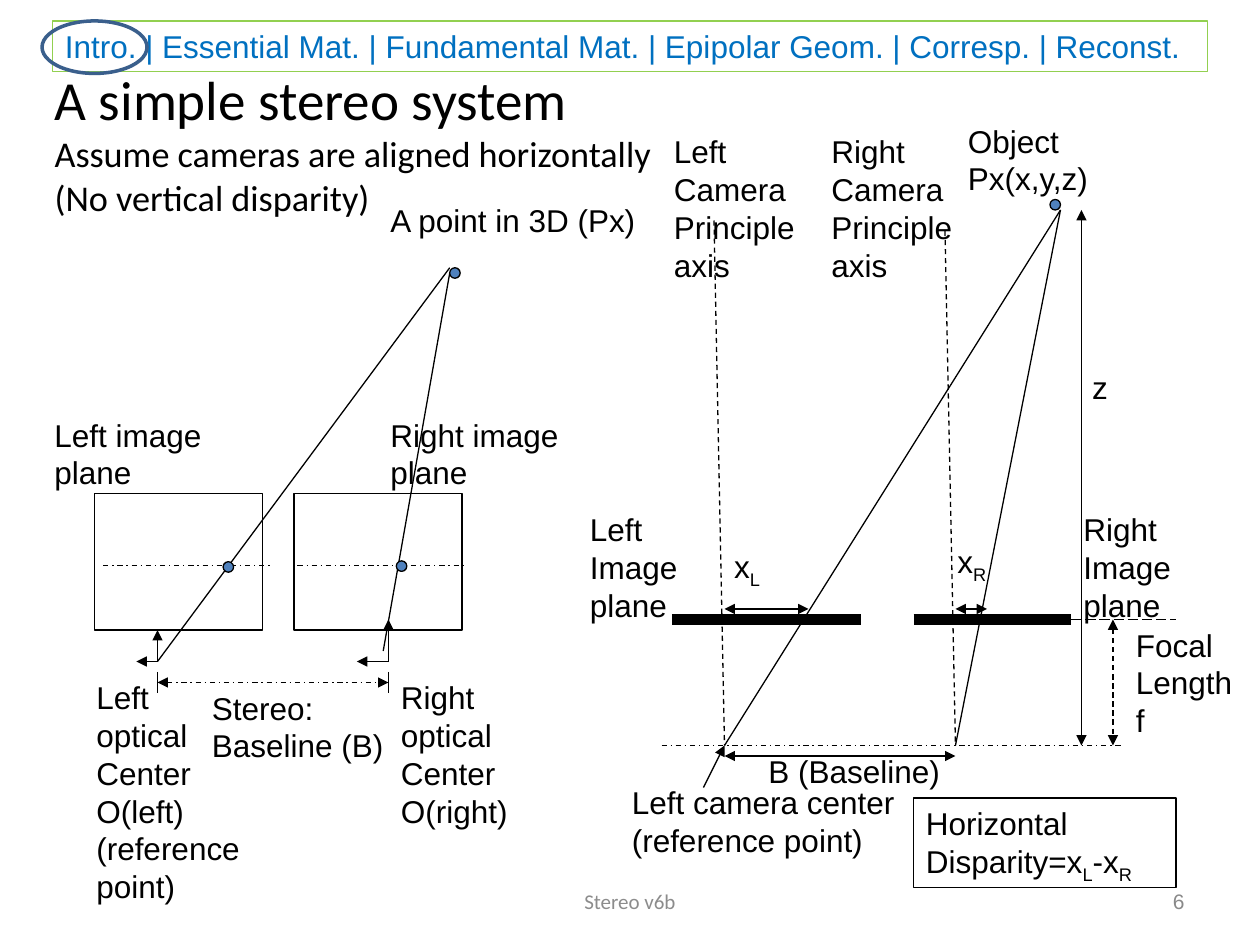
"""Build the slide on a simple stereo camera system."""

from copy import deepcopy
from dataclasses import dataclass
from typing import Optional

from lxml.etree import SubElement
from pptx import Presentation
from pptx.dml.color import RGBColor
from pptx.enum.dml import MSO_LINE
from pptx.enum.shapes import MSO_CONNECTOR, MSO_SHAPE
from pptx.enum.text import MSO_ANCHOR, MSO_AUTO_SIZE, PP_ALIGN
from pptx.oxml.ns import qn
from pptx.shapes.autoshape import Shape
from pptx.slide import Slide
from pptx.util import Pt

BLACK = RGBColor(0x00, 0x00, 0x00)
GREEN = RGBColor(0x92, 0xD0, 0x50)
BLUE = RGBColor(0x00, 0x70, 0xC0)
DOT_BLUE = RGBColor(0x4F, 0x81, 0xBD)
RING_BLUE = RGBColor(0x3A, 0x5F, 0x8C)
FOOTER_GRAY = RGBColor(0x8C, 0x8C, 0x8C)
NUMBER_GRAY = RGBColor(0x89, 0x89, 0x89)
DOT_SIZE = 6
LINE_HEIGHT = 21.6
FRAME_MARGIN = 7.2


@dataclass(frozen=True)
class Label:
    text: str
    left: float
    top: float
    width: float


@dataclass(frozen=True)
class Line:
    start: tuple[float, float]
    end: tuple[float, float]
    dash: Optional[MSO_LINE] = None
    arrows: tuple[str, ...] = ()
    weight: float = 0.75


@dataclass(frozen=True)
class Outline:
    kind: MSO_SHAPE
    left: float
    top: float
    width: float
    height: float
    color: RGBColor = BLACK
    weight: float = 0.75
    fill: Optional[RGBColor] = None


END = ("a:tailEnd",)
BOTH = ("a:headEnd", "a:tailEnd")
DASH, DASH_DOT = MSO_LINE.DASH, MSO_LINE.DASH_DOT

NAVIGATION = Outline(MSO_SHAPE.RECTANGLE, 30, 12, 660, 29, GREEN)
CURRENT_SECTION = Outline(MSO_SHAPE.OVAL, 24, 12, 60, 30, RING_BLUE, 2)
DISPARITY = Outline(MSO_SHAPE.RECTANGLE, 522, 456, 150, 51)
IMAGE_PLANES = [Outline(MSO_SHAPE.RECTANGLE, left, 282, 96, 78) for left in (54, 168)]
DOTS = [
    Outline(MSO_SHAPE.OVAL, left, top, DOT_SIZE, DOT_SIZE, fill=DOT_BLUE)
    for left, top in ((127.5, 321), (226.5, 320.5), (600, 114), (257, 153))
]

PERSPECTIVE_LINES = [
    Line((257, 153), (90, 378)),
    Line((257, 156), (219, 372)),
    Line((90, 378), (90, 360), arrows=END),
    Line((90, 378), (78, 378), arrows=END),
    Line((222, 378), (222, 354), arrows=END),
    Line((222, 378), (204, 378), arrows=END),
    Line((59, 323), (155.5, 323), DASH_DOT),
    Line((170, 323), (266.5, 323), DASH_DOT),
    Line((90, 384), (90, 396)),
    Line((222, 384), (222, 396)),
    Line((90, 390), (222, 390), DASH_DOT, BOTH),
]

TOP_VIEW_LINES = [
    Line((384, 354), (492, 354), weight=6),
    Line((522, 354), (612, 354), weight=6),
    Line((606, 120), (414, 426)),
    Line((606, 120), (546, 426)),
    Line((408, 126), (414, 426), DASH),
    Line((540, 132), (546, 426), DASH),
    Line((414, 348), (462, 348), arrows=BOTH),
    Line((546, 348), (564, 348), arrows=BOTH),
    Line((636, 354), (636, 426), DASH, BOTH),
    Line((378, 426), (642, 426), DASH_DOT),
    Line((618, 120), (618, 426), arrows=BOTH),
    Line((414, 432), (546, 432), arrows=BOTH),
    Line((402, 450), (414, 426), arrows=END),
    Line((612, 354), (672, 354), MSO_LINE.LONG_DASH),
]

LABELS = [
    Label("A point in 3D (Px)", 216, 111.6, 155.5),
    Label("Right image\nplane", 216, 234, 115),
    Label("Left image\nplane", 24, 234, 103.5),
    Label("Left\noptical\nCenter\nO(left)\n(reference\npoint)", 48, 384, 96.5),
    Label("Right\noptical\nCenter\nO(right)", 222, 384, 75.5),
    Label("Stereo:\nBaseline (B)", 114, 390, 112.5),
    Label("x_L", 412.5, 309, 30),
    Label("x_R", 540, 306, 32.5),
    Label("Focal\nLength\nf", 642, 354, 70),
    Label("Object\nPx(x,y,z)", 546, 66, 84),
    Label("z", 617, 206.6, 24),
    Label("Left camera center\n(reference point)", 354, 444, 169),
    Label("B (Baseline)", 432, 426, 112.5),
    Label("Left\nCamera\nPrinciple\naxis", 378, 72, 83.5),
    Label("Right\nCamera\nPrinciple\naxis", 468, 72, 83.5),
    Label("Left\nImage\nplane", 330, 288, 70),
    Label("Right\nImage\nplane", 612, 288, 70),
]


def write_text(shape: Shape, text: str, color: RGBColor = BLACK,
               size: float = 18, font_name: str = "Arial") -> None:
    """Write lines of text, lowering each character that follows an underscore."""
    shape.text_frame.text = text
    for paragraph, line in zip(shape.text_frame.paragraphs, text.split("\n")):
        paragraph.alignment = PP_ALIGN.LEFT
        first, *lowered = line.split("_")
        if lowered:
            paragraph.text = first
        for part in lowered:
            subscript = paragraph.add_run()
            subscript.text = part[0]
            subscript.font._element.set("baseline", "-25000")
            if part[1:]:
                paragraph.add_run().text = part[1:]
        for run in paragraph.runs:
            run.font.name = font_name
            run.font.size = Pt(size)
            run.font.color.rgb = color


def add_outline(slide: Slide, outline: Outline) -> Shape:
    """Draw a rectangle or oval."""
    shape = slide.shapes.add_shape(outline.kind, Pt(outline.left), Pt(outline.top),
                                   Pt(outline.width), Pt(outline.height))
    shape.shadow.inherit = False
    shape.text_frame.vertical_anchor = MSO_ANCHOR.TOP
    shape.line.color.rgb = outline.color
    shape.line.width = Pt(outline.weight)
    if outline.fill is None:
        shape.fill.background()
    else:
        shape.fill.solid()
        shape.fill.fore_color.rgb = outline.fill
    return shape


def add_line(slide: Slide, line: Line) -> None:
    """Draw a straight line with its dash and arrowheads."""
    connector = slide.shapes.add_connector(
        MSO_CONNECTOR.STRAIGHT, *(Pt(value) for value in line.start + line.end))
    connector.line.color.rgb = BLACK
    connector.line.width = Pt(line.weight)
    if line.dash is not None:
        connector.line.dash_style = line.dash
    for arrow in line.arrows:
        SubElement(connector.line._get_or_add_ln(), qn(arrow), type="triangle")
    SubElement(connector._element.spPr, qn("a:effectLst"))


def add_label(slide: Slide, label: Label) -> None:
    """Place an unwrapped label whose height follows its line count."""
    height = FRAME_MARGIN + LINE_HEIGHT * len(label.text.split("\n"))
    box = slide.shapes.add_textbox(Pt(label.left), Pt(label.top), Pt(label.width), Pt(height))
    box.text_frame.word_wrap = False
    write_text(box, label.text)


def add_footer(slide: Slide, text: str, left: float, width: float, color: RGBColor,
               font_name: str, alignment: PP_ALIGN) -> None:
    """Place one text of the footer row."""
    box = slide.shapes.add_textbox(Pt(left), Pt(500.5), Pt(width), Pt(28.8))
    box.text_frame.word_wrap = True
    box.text_frame.vertical_anchor = MSO_ANCHOR.MIDDLE
    write_text(box, text, color, 12, font_name)
    box.text_frame.paragraphs[0].alignment = alignment


def format_title(title: Shape) -> None:
    """Fill the title with a heading and two smaller lines."""
    title.left, title.top, title.width, title.height = Pt(24), Pt(36), Pt(648), Pt(90)
    write_text(title, "A simple stereo system\vAssume cameras are aligned horizontally"
                      "\v(No vertical disparity)", size=20.7, font_name="Calibri")
    title.text_frame.auto_size = MSO_AUTO_SIZE.NONE
    title.text_frame.vertical_anchor = MSO_ANCHOR.MIDDLE
    paragraph = title.text_frame.paragraphs[0]
    paragraph.runs[0].font.size = Pt(31.5)
    for line_break, run in zip(paragraph._p.findall(qn("a:br")), paragraph.runs):
        line_break.append(deepcopy(run.font._element))


def main() -> None:
    """Build and save the presentation."""
    presentation = Presentation()
    presentation.slide_width, presentation.slide_height = Pt(720), Pt(540)
    slide = presentation.slides.add_slide(presentation.slide_layouts[5])
    format_title(slide.shapes.title)
    navigation = add_outline(slide, NAVIGATION)
    write_text(navigation, "Intro. | Essential Mat. | Fundamental Mat. | "
                           "Epipolar Geom. | Corresp. | Reconst.", BLUE)
    add_footer(slide, "Stereo v6b", 246, 228, FOOTER_GRAY, "Calibri", PP_ALIGN.CENTER)
    add_footer(slide, "6", 516, 168, NUMBER_GRAY, "Arial", PP_ALIGN.RIGHT)
    for line in PERSPECTIVE_LINES + TOP_VIEW_LINES:
        add_line(slide, line)
    for label in LABELS:
        add_label(slide, label)
    for outline in IMAGE_PLANES + DOTS + [CURRENT_SECTION]:
        add_outline(slide, outline)
    write_text(add_outline(slide, DISPARITY), "Horizontal\nDisparity=x_L-x_R")
    presentation.save("out.pptx")


if __name__ == "__main__":
    main()
